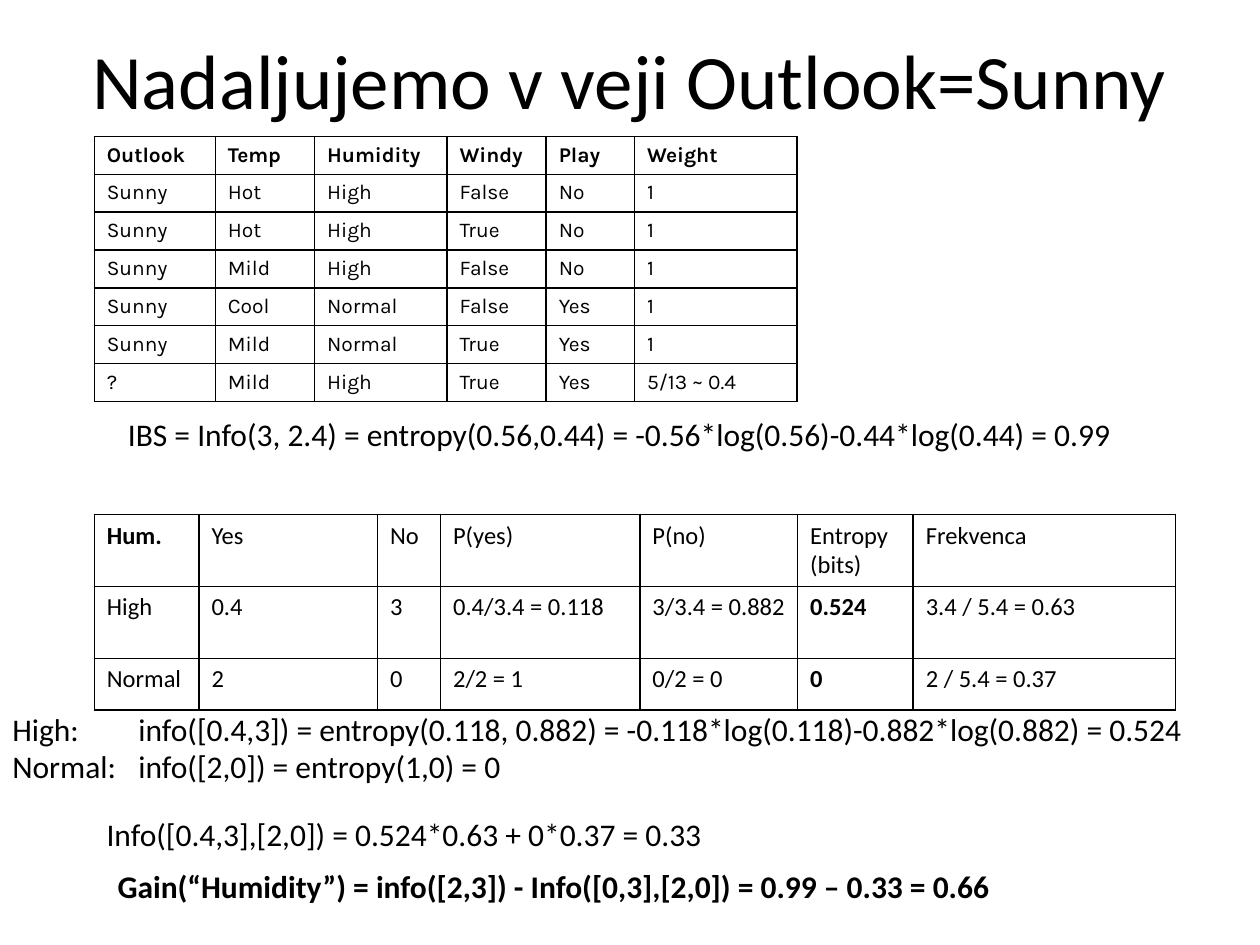
from copy import deepcopy

from pptx import Presentation
from pptx.dml.color import RGBColor
from pptx.enum.text import MSO_ANCHOR as Anchor, PP_ALIGN as Align
from pptx.oxml import parse_xml
from pptx.oxml.ns import nsdecls, qn
from pptx.util import Cm, Pt

BLACK = "000000"


def color(code):
    return RGBColor.from_string(code)


def write(para, text, font="Calibri", size=18, bold=False, align=Align.LEFT):
    para.text = text
    para.alignment = align
    for span in para.runs:
        span.font.name = font
        span.font.size = Pt(size)
        span.font.bold = bold
        span.font.color.rgb = color(BLACK)
    # Line breaks take the size of the text around them
    for line_break in para._p.findall(qn("a:br")):
        line_break.insert(0, deepcopy(para.runs[0]._r.rPr))


class SlideBuilder:
    border = BLACK
    border_width = Pt(1)

    def __init__(self, page):
        self.page = page

    def text(self, left, top, width, height, lines, wrap=False,
             anchor=Anchor.TOP, **style):
        box = self.page.shapes.add_textbox(Cm(left), Cm(top), Cm(width), Cm(height))
        frame = box.text_frame
        frame.word_wrap = wrap
        frame.vertical_anchor = anchor
        for index, line in enumerate(lines):
            para = frame.paragraphs[0] if index == 0 else frame.add_paragraph()
            write(para, line, **style)

    def table(self, left, top, widths, heights, rows, bold_cells, **style):
        grid = self.page.shapes.add_table(
            len(rows), len(widths), Cm(left), Cm(top),
            Cm(sum(widths)), Cm(sum(heights))).table
        grid.first_row = grid.horz_banding = False
        for column, width in zip(grid.columns, widths):
            column.width = Cm(width)
        for row, height in zip(grid.rows, heights):
            row.height = Cm(height)
        for r, values in enumerate(rows):
            for c, value in enumerate(values):
                cell = grid.cell(r, c)
                self.frame_cell(cell)
                write(cell.text_frame.paragraphs[0], value,
                      bold=(r, c) in bold_cells, **style)

    def frame_cell(self, cell):
        properties = cell._tc.get_or_add_tcPr()
        for side in ("lnL", "lnR", "lnT", "lnB"):
            properties.append(parse_xml(
                f'<a:{side} {nsdecls("a")} w="{self.border_width}"><a:solidFill>'
                f'<a:srgbClr val="{self.border}"/></a:solidFill></a:{side}>'))
        cell.fill.background()


def main():
    deck = Presentation()
    deck.slide_width, deck.slide_height = Cm(25.4), Cm(19.05)
    slide = SlideBuilder(deck.slides.add_slide(deck.slide_layouts[6]))

    # Title
    slide.text(1.27, 0, 22.86, 3.18, ["Nadaljujemo v veji Outlook=Sunny"],
               wrap=True, anchor=Anchor.MIDDLE, size=44, align=Align.CENTER)

    # Weighted examples in the Sunny branch
    examples = [
        ["Outlook", "Temp", "Humidity", "Windy", "Play", "Weight"],
        ["Sunny", "Hot", "High", "False", "No", "1"],
        ["Sunny", "Hot", "High", "True", "No", "1"],
        ["Sunny", "Mild", "High", "False", "No", "1"],
        ["Sunny", "Cool", "Normal", "False", "Yes", "1"],
        ["Sunny", "Mild", "Normal", "True", "Yes", "1"],
        ["?", "Mild", "High", "True", "Yes", "5/13 ~ 0.4"],
    ]
    slide.table(1.9, 2.75, [2.44, 2, 2.67, 2, 1.78, 3.28], [0.75] * len(examples),
                examples, {(0, c) for c in range(6)}, font="Karla", size=12)

    # Entropy by humidity
    humidity = [
        ["Hum.", "Yes", "No", "P(yes)", "P(no)", "Entropy\n(bits)", "Frekvenca"],
        ["High", "0.4", "3", "0.4/3.4 = 0.118", "3/3.4 = 0.882", "0.524",
         "3.4 / 5.4 = 0.63"],
        ["Normal", "2", "0", "2/2 = 1", "0/2 = 0", "0", "2 / 5.4 = 0.37"],
    ]
    slide.table(1.9, 10.37, [2.11, 3.6, 1.27, 4.02, 3.18, 2.33, 5.29],
                [1.45, 1.45, 1.04], humidity, {(0, 0), (1, 5), (2, 5)}, size=14)

    # Calculations
    slide.text(1.9, 16.3, 12.65, 1.02,
               ["Info([0.4,3],[2,0]) = 0.524*0.63 + 0*0.37 = 0.33"])
    slide.text(2.12, 17.36, 18.44, 1.02,
               ["Gain(“Humidity”) = info([2,3]) - Info([0,3],[2,0])"
                " = 0.99 – 0.33 = 0.66"], bold=True)
    slide.text(0, 14.18, 24.56, 1.8,
               ["High: \tinfo([0.4,3]) = entropy(0.118, 0.882)"
                " = -0.118*log(0.118)-0.882*log(0.882) = 0.524",
                "Normal:\tinfo([2,0]) = entropy(1,0) = 0"], wrap=True)
    slide.text(2.33, 8.25, 20.55, 1.02,
               ["IBS = Info(3, 2.4) = entropy(0.56,0.44)"
                " = -0.56*log(0.56)-0.44*log(0.44) = 0.99"])

    deck.save("out.pptx")


if __name__ == "__main__":
    main()
